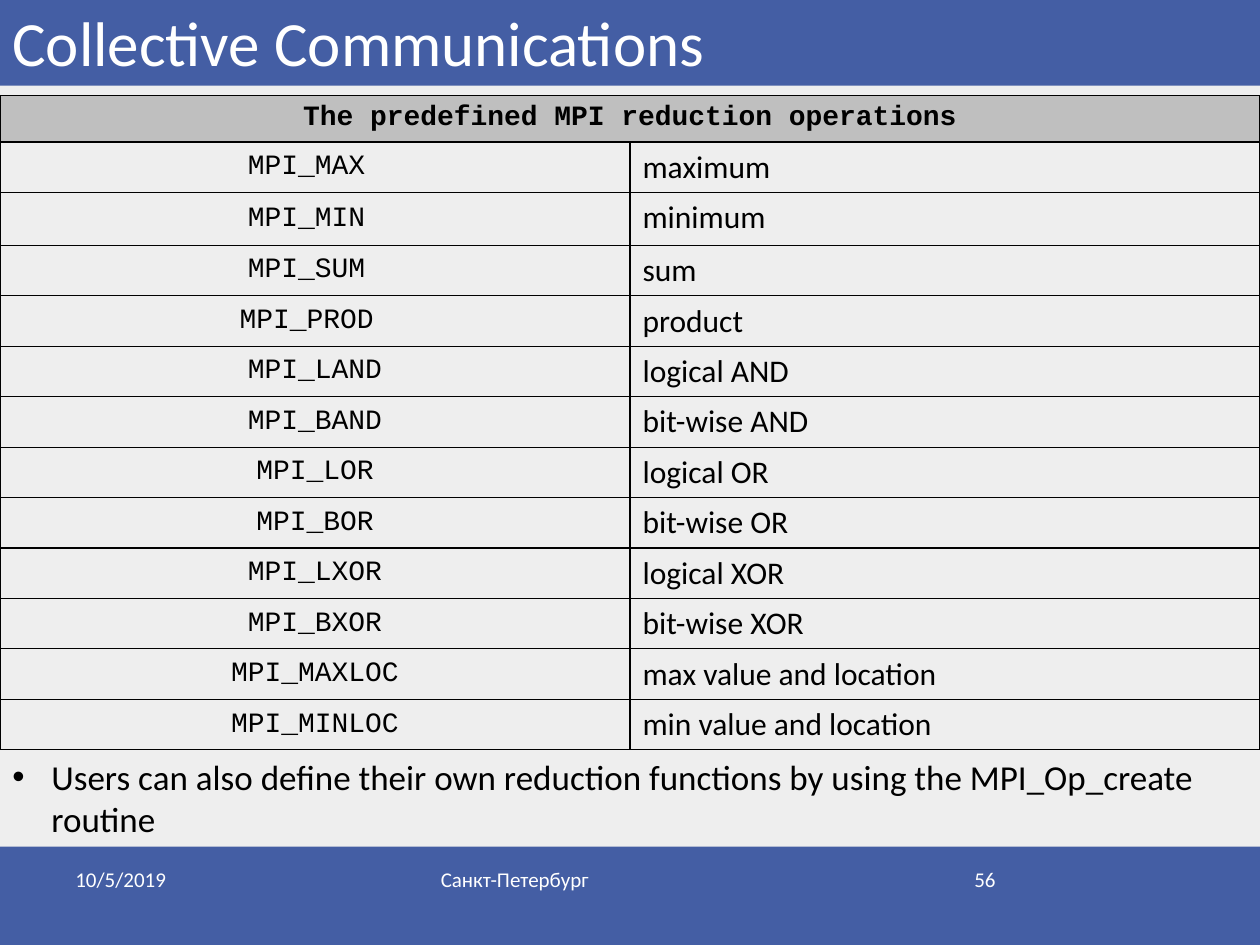
import pptx
import pptx.util
import pptx.oxml
import pptx.oxml.ns
import pptx.dml.color
import pptx.enum.shapes
import pptx.enum.text
from lxml import etree

WIDTH, HEIGHT = 10, 7.5
COLORS = {"page": "EEEEEE", "band": "445EA4", "light": "FFFFFF", "dark": "000000", "header": "BFBFBF"}
ALIGN = pptx.enum.text.PP_ALIGN
ANCHOR = pptx.enum.text.MSO_ANCHOR
HEADING = "The predefined MPI reduction operations"
OPERATIONS = [
    ("MPI_MAX ", "maximum"),
    ("MPI_MIN ", "minimum"),
    ("MPI_SUM ", "sum"),
    ("MPI_PROD ", "product"),
    ("MPI_LAND", "logical AND"),
    ("MPI_BAND", "bit-wise AND"),
    ("MPI_LOR", "logical OR"),
    ("MPI_BOR", "bit-wise OR"),
    ("MPI_LXOR", "logical XOR"),
    ("MPI_BXOR", "bit-wise XOR"),
    ("MPI_MAXLOC", "max value and location"),
    ("MPI_MINLOC", "min value and location"),
]
HEADER_HEIGHT, ROW_HEIGHT, TALL_ROW, TALL_HEIGHT = 0.36, 0.4, 2, 0.42


def color(name):
    """Return the named colour."""
    return pptx.dml.color.RGBColor.from_string(COLORS[name])


def area(left, top, width, height):
    """Turn shares of the slide's size into lengths."""
    return [pptx.util.Inches(share * size)
            for share, size in zip((left, top, width, height), (WIDTH, HEIGHT) * 2)]


def write(frame, text, size, tone, font="Calibri", align=ALIGN.LEFT, bold=False):
    """Fill a text frame with one formatted paragraph and return it."""
    frame.text = text
    para = frame.paragraphs[0]
    para.alignment = align
    for span in para.runs:
        span.font.size = pptx.util.Pt(size)
        span.font.name = font
        span.font.bold = bold
        span.font.color.rgb = color(tone)
    return para


def add_band(page, top, height):
    """Add a full-width coloured band."""
    band = page.shapes.add_shape(pptx.enum.shapes.MSO_SHAPE.RECTANGLE, *area(0, top, 1, height))
    band.shadow.inherit = False
    band.fill.solid()
    band.fill.fore_color.rgb = color("band")
    band.line.fill.background()


def add_text(page, place, text, size, tone, align=ALIGN.LEFT, anchor=ANCHOR.TOP):
    """Add a wrapping text box and return its paragraph."""
    frame = page.shapes.add_textbox(*area(*place)).text_frame
    frame.word_wrap = True
    frame.vertical_anchor = anchor
    return write(frame, text, size, tone, align=align)


def add_bullet(para, indent):
    """Give a paragraph a round bullet and a hanging indent."""
    properties = para._p.get_or_add_pPr()
    properties.set("marL", str(pptx.util.Inches(indent)))
    properties.set("indent", str(-pptx.util.Inches(indent)))
    font = etree.SubElement(properties, pptx.oxml.ns.qn("a:buFont"))
    font.set("typeface", "Arial")
    etree.SubElement(properties, pptx.oxml.ns.qn("a:buChar")).set("char", "•")


def style_cell(cell, fill=None, rule=0.75):
    """Draw a cell's borders and set its fill."""
    properties = cell._tc.get_or_add_tcPr()
    for side, width in (("L", 1), ("R", 1), ("T", rule), ("B", rule)):
        line = etree.SubElement(properties, pptx.oxml.ns.qn("a:ln" + side))
        line.set("w", str(pptx.util.Pt(width)))
        solid = etree.SubElement(line, pptx.oxml.ns.qn("a:solidFill"))
        etree.SubElement(solid, pptx.oxml.ns.qn("a:srgbClr")).set("val", COLORS["dark"])
    if fill:
        cell.fill.solid()
        cell.fill.fore_color.rgb = color(fill)
    else:
        cell.fill.background()


def add_operations(page):
    """Add the table of reduction operations."""
    count = len(OPERATIONS) + 1
    table = page.shapes.add_table(count, 2, *area(0, 0.76 / HEIGHT, 1, 5.19 / HEIGHT)).table
    table.first_row = table.horz_banding = False
    for index, row in enumerate(table.rows):
        height = {0: HEADER_HEIGHT, TALL_ROW: TALL_HEIGHT}.get(index, ROW_HEIGHT)
        row.height = pptx.util.Inches(height)
    for cell in table.rows[0].cells:
        style_cell(cell, "header", 1)
    header = table.cell(0, 0)
    header.merge(table.cell(0, 1))
    write(header.text_frame, HEADING, 16, "dark", "Courier New", ALIGN.CENTER, True)
    for index, (name, meaning) in enumerate(OPERATIONS, 1):
        left, right = table.rows[index].cells
        style_cell(left)
        style_cell(right)
        left.vertical_anchor = ANCHOR.MIDDLE
        write(left.text_frame, name, 16, "dark", "Courier New", ALIGN.CENTER)
        write(right.text_frame, meaning, 18, "dark")


def main():
    """Build and save the slide."""
    deck = pptx.Presentation()
    deck.slide_width = pptx.util.Inches(WIDTH)
    deck.slide_height = pptx.util.Inches(HEIGHT)
    page = deck.slides.add_slide(deck.slide_layouts[6])
    page.background.fill.solid()
    page.background.fill.fore_color.rgb = color("page")
    top, foot = 0.68 / HEIGHT, 6.72 / HEIGHT
    add_band(page, foot, 1 - foot)
    add_band(page, 0, top)
    add_text(page, (0, -0.21 / HEIGHT, 1, 0.89 / HEIGHT), "Collective Communications",
             36, "light", anchor=ANCHOR.BOTTOM)
    for left, width, text, align in (
        (0.05, 0.23, "10/5/2019", ALIGN.LEFT),
        (0.72, 0.08, "56", ALIGN.RIGHT),
        (0.34, 0.32, "Санкт-Петербург", ALIGN.LEFT),
    ):
        add_text(page, (left, 6.83 / HEIGHT, width, 0.07), text, 12, "light", align)
    add_operations(page)
    note = add_text(page, (0, 5.95 / HEIGHT, 1, 0.77 / HEIGHT),
                    "Users can also define their own reduction functions by using the "
                    "MPI_Op_create routine", 20, "dark")
    add_bullet(note, 0.31)
    deck.save("out.pptx")


if __name__ == "__main__":
    main()
